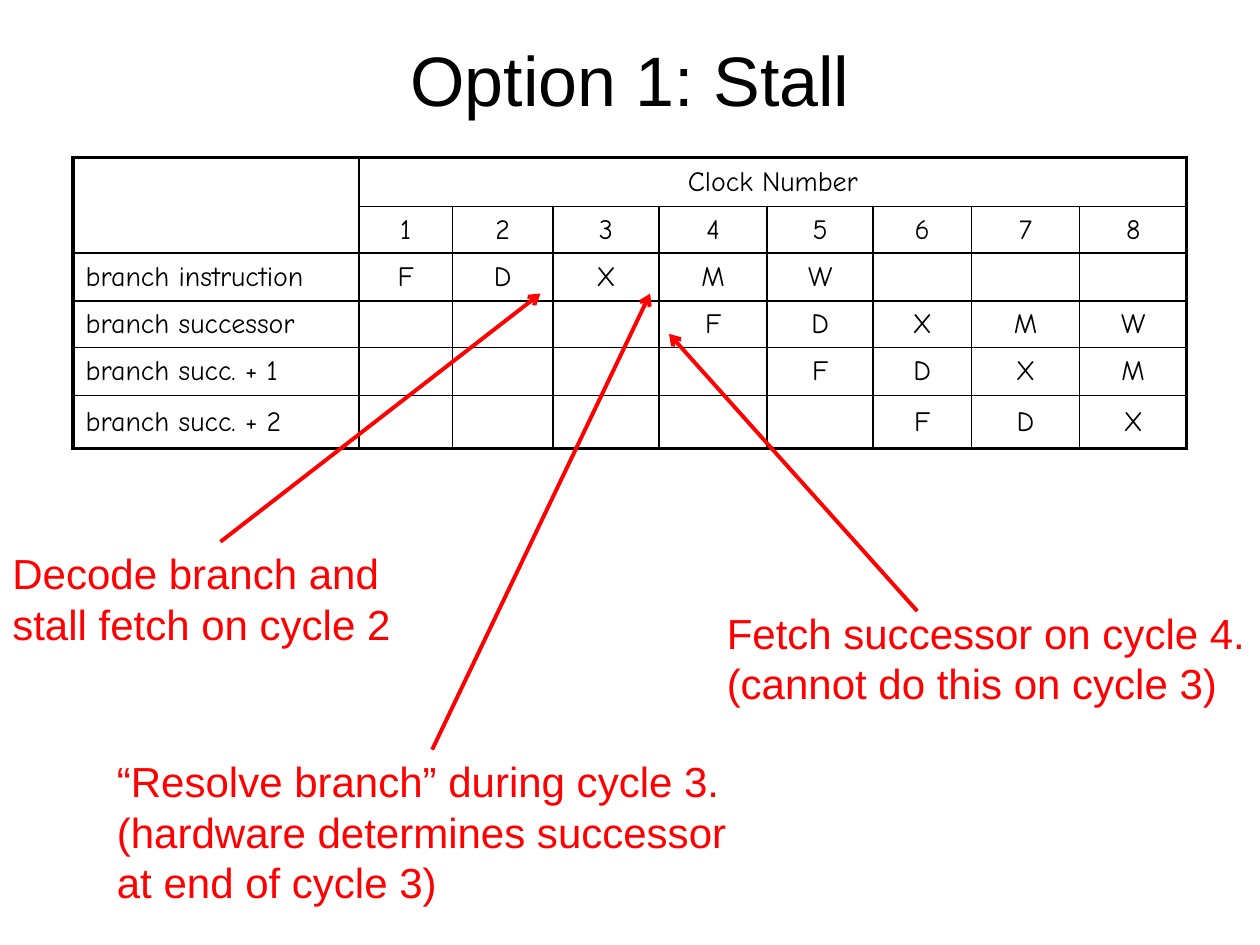
from lxml.etree import SubElement
from pptx import Presentation
from pptx.dml.color import RGBColor
from pptx.enum.shapes import MSO_CONNECTOR as Link
from pptx.enum.text import MSO_ANCHOR as Anchor, PP_ALIGN as Align
from pptx.oxml.ns import qn
from pptx.util import Inches, Pt

BLACK = RGBColor(0, 0, 0)
RED = RGBColor(255, 0, 0)
WIDE, HIGH = Inches(10), Inches(7.5)
THIN, THICK = 1, 2.25
COLS = [22.7, 7.4, 8, 8.4, 8.6, 8.4, 7.8, 8.6, 8.5]
ROWS = [5.2, 4.93, 5.07, 4.93, 5.07, 5.6]
STAGES = "FDXMW"
STARTS = [
    ("branch instruction", 1),
    ("branch successor", 4),
    ("branch succ. + 1", 5),
    ("branch succ. + 2", 6),
]


def across(share):
    return round(WIDE * share / 100)


def down(share):
    return round(HIGH * share / 100)


def write(para, text, size, face, color, align=Align.LEFT):
    para.alignment = align
    run = para.add_run()
    run.text = text
    font = run.font
    font.size, font.name = Pt(size), face
    font.color.rgb = color


def add_text(slide, left, top, width, height, lines, size, color,
             align=Align.LEFT, anchor=Anchor.TOP):
    box = slide.shapes.add_textbox(across(left), down(top), across(width), down(height))
    frame = box.text_frame
    frame.word_wrap = True
    frame.margin_right = 0 if align == Align.LEFT else frame.margin_left
    frame.vertical_anchor = anchor
    for i, line in enumerate(lines):
        para = frame.add_paragraph() if i else frame.paragraphs[0]
        write(para, line, size, "Arial", color, align)
    return box


def add_arrow(slide, start, end, box=None):
    (x1, y1), (x2, y2) = start, end
    arrow = slide.shapes.add_connector(
        Link.STRAIGHT, across(x1), down(y1), across(x2), down(y2))
    if box is not None:
        arrow.begin_connect(box, 0)
    arrow.line.color.rgb = RED
    arrow.line.width = Pt(THICK)
    SubElement(arrow.line._get_or_add_ln(), qn("a:tailEnd"), type="arrow")
    SubElement(arrow._element.spPr, qn("a:effectLst"))


def add_edge(cell, side, width):
    props = cell._tc.get_or_add_tcPr()
    line = SubElement(props, qn("a:ln" + side), w=str(Pt(width)))
    fill = SubElement(line, qn("a:solidFill"))
    SubElement(fill, qn("a:srgbClr"), val=str(BLACK))


def style_cell(cell, row, col):
    outer = {
        "L": col == 0,
        "R": col + cell.span_width == len(COLS),
        "T": row == 0,
        "B": row + cell.span_height == len(ROWS),
    }
    for side, edge in outer.items():
        add_edge(cell, side, THICK if edge else THIN)
    cell.fill.background()
    cell.vertical_anchor = Anchor.MIDDLE
    cell.margin_top = cell.margin_bottom = Inches(0.02)


def clock_text():
    texts = {(0, 1): "Clock Number"}
    texts.update({(1, n): str(n) for n in range(1, len(COLS))})
    for row, (name, start) in enumerate(STARTS, 2):
        texts[row, 0] = name
        for col, stage in enumerate(STAGES, start):
            if col < len(COLS):
                texts[row, col] = stage
    return texts


def add_clock(slide):
    frame = slide.shapes.add_table(
        len(ROWS), len(COLS), across(5.8), down(16.67),
        across(sum(COLS)), down(sum(ROWS)))
    table = frame.table
    table.first_row = table.horz_banding = False
    for col, share in zip(table.columns, COLS):
        col.width = across(share)
    for row, share in zip(table.rows, ROWS):
        row.height = down(share)
    table.cell(0, 0).merge(table.cell(1, 0))
    table.cell(0, 1).merge(table.cell(0, len(COLS) - 1))
    texts = clock_text()
    for row in range(len(ROWS)):
        for col in range(len(COLS)):
            cell = table.cell(row, col)
            style_cell(cell, row, col)
            if (row, col) in texts:
                write(cell.text_frame.paragraphs[0], texts[row, col], 16,
                      "Comic Neue", BLACK, Align.CENTER if col else Align.LEFT)


def main():
    deck = Presentation()
    deck.slide_width, deck.slide_height = WIDE, HIGH
    slide = deck.slides.add_slide(deck.slide_layouts[6])
    add_text(slide, 7.5, 0, 85, 16.67, ["Option 1: Stall"], 40, BLACK,
             Align.CENTER, Anchor.MIDDLE)
    add_clock(slide)
    decode = add_text(slide, 0, 57.33, 35, 12.13, [
        "Decode branch and", "stall fetch on cycle 2"], 24, RED)
    solve = add_text(slide, 8.3, 79.33, 52, 17.47, [
        "“Resolve branch” during cycle 3.",
        "(hardware determines successor", "at end of cycle 3)"], 24, RED)
    add_text(slide, 56.7, 63.6, 43.3, 12.13, [
        "Fetch successor on cycle 4.", "(cannot do this on cycle 3)"], 24, RED)
    add_arrow(slide, (17.5, 57.33), (42.9, 31.07), decode)
    add_arrow(slide, (34.3, 79.33), (51.6, 31.07), solve)
    add_arrow(slide, (72.8, 64.67), (53.1, 35.33))
    deck.save("out.pptx")


if __name__ == "__main__":
    main()
